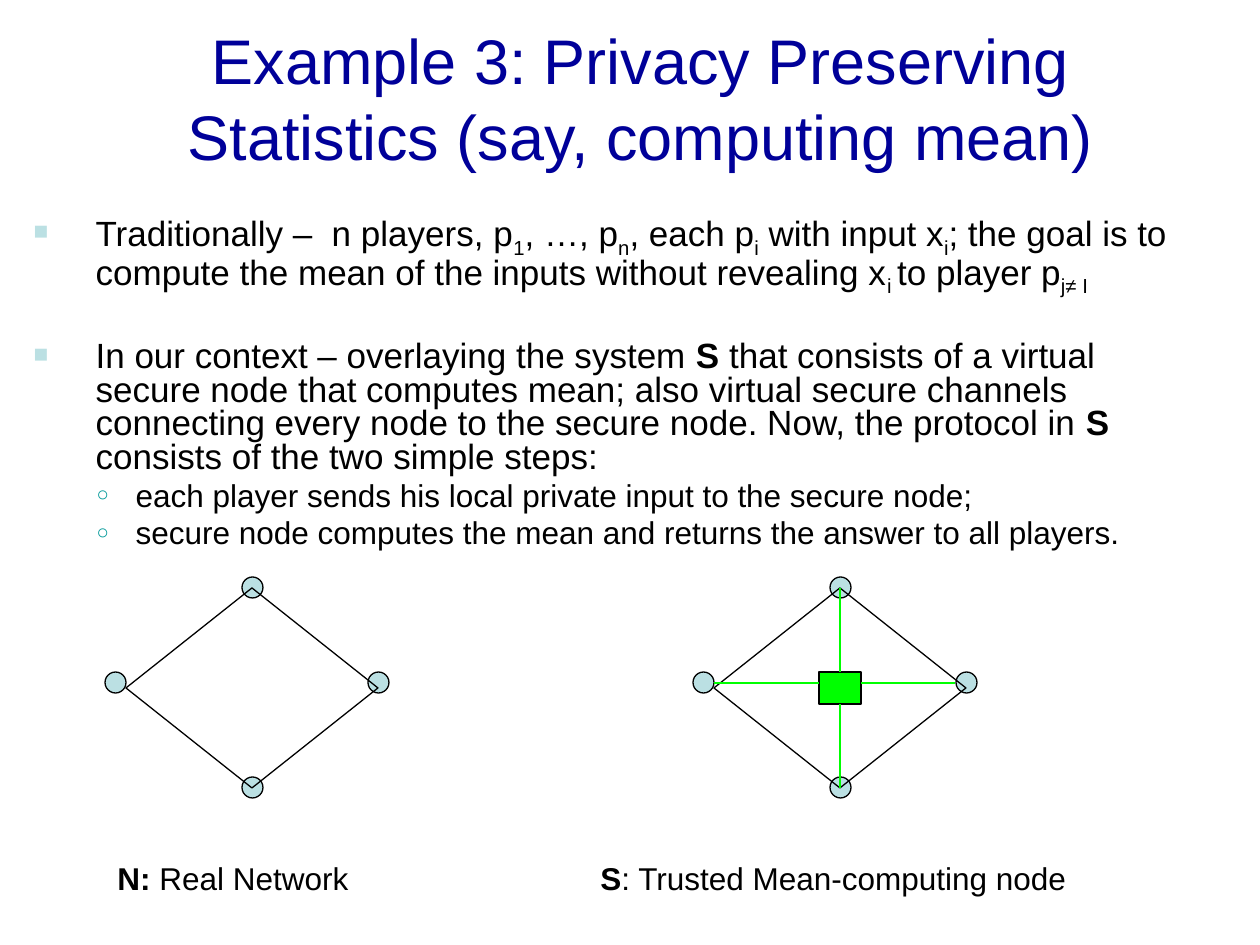
"""Build a slide on privacy preserving statistics with two network diagrams."""
from lxml.etree import SubElement
from pptx import Presentation
from pptx.dml.color import RGBColor
from pptx.enum.shapes import MSO_CONNECTOR, MSO_SHAPE
from pptx.enum.text import MSO_ANCHOR, MSO_AUTO_SIZE, PP_ALIGN
from pptx.oxml.ns import qn
from pptx.util import Pt

SCALE = 914400 / 126
FONT = "Arial"
BLACK, NAVY, PALE, TEAL, GREEN = "000000", "000099", "BBE0E3", "009999", "00FF00"

TITLE = "Example 3: Privacy Preserving Statistics (say, computing mean)"
TITLE_BOX = (126, 21, 1029, 158)
BODY_BOX = (21, 210, 1176, 325)
LEVELS = [
    {"size": 20, "margin": 62, "hang": 62, "mark": "■", "tint": PALE, "percent": 70},
    {"size": 18, "margin": 102, "hang": 39, "mark": "○", "tint": TEAL, "percent": 65},
]
BULLETS = [
    (0, 4.6, [("Traditionally –  n players, p", ""), ("1", "sub"), (", …, p", ""),
              ("n", "sub"), (", each p", ""), ("i", "sub"), (" with input x", ""),
              ("i", "sub"),
              ("; the goal is to compute the mean of the inputs without revealing x", ""),
              ("i ", "sub"), ("to player p", ""), ("j≠ I", "sub")]),
    (0, 28, [("In our context – overlaying the system ", ""), ("S ", "bold"),
             ("that consists of a virtual secure node that computes mean; also virtual "
              "secure channels connecting every node to the secure node. Now, the "
              "protocol in ", ""), ("S ", "bold"),
             ("consists of the two simple steps:", "")]),
    (1, 4.1, [("each player sends his local private input to the secure node;", "")]),
    (1, 4.1, [("secure node computes the mean and returns the answer to all players.", "")]),
]
CAPTIONS = [
    ((105, 853, 256, 50), [("N: ", "bold"), ("Real Network", "")]),
    ((588, 853, 493, 50), [("S", "bold"), (": Trusted Mean-computing node", "")]),
]
REAL_LEFT, TRUSTED_LEFT = 105, 693
NODE = 21
NODE_OFFSETS = [(0, 672), (137, 577), (137, 777), (263, 672)]
RING = (21, 588, 252, 200)
SECURE_NODE = (819, 672, 42, 32)
CHANNELS = [(714, 683, 819, 683), (861, 683, 955, 683),
            (840, 588, 840, 672), (840, 788, 840, 704)]


def px(*lengths):
    return [round(length * SCALE) for length in lengths]


def color(code):
    return RGBColor.from_string(code)


def move(placeholder, box):
    placeholder.left, placeholder.top, placeholder.width, placeholder.height = px(*box)


def write(paragraph, pieces, size, tint=BLACK):
    for text, style in pieces:
        run = paragraph.add_run()
        run.text = text
        for name, value in {"name": FONT, "size": Pt(size), "bold": style == "bold"}.items():
            setattr(run.font, name, value)
        run.font.color.rgb = color(tint)
        if style == "sub":
            run._r.get_or_add_rPr().set("baseline", "-25000")


def set_bullet(paragraph, level):
    props = paragraph._p.get_or_add_pPr()
    margin, hang = px(level["margin"], level["hang"])
    props.set("marL", str(margin))
    props.set("indent", str(-hang))
    tint = SubElement(props, qn("a:buClr"))
    SubElement(tint, qn("a:srgbClr"), val=level["tint"])
    SubElement(props, qn("a:buSzPct"), val=str(level["percent"] * 1000))
    SubElement(props, qn("a:buFont"), typeface=FONT)
    SubElement(props, qn("a:buChar"), char=level["mark"])


def draw(shapes, kind, box, fill=None):
    figure = shapes.add_shape(kind, *px(*box))
    figure.shadow.inherit = False
    if fill:
        figure.fill.solid()
        figure.fill.fore_color.rgb = color(fill)
    else:
        figure.fill.background()
    figure.line.color.rgb = color(BLACK)
    figure.line.width = Pt(0.75)


def draw_network(shapes, left):
    for x, y in NODE_OFFSETS:
        draw(shapes, MSO_SHAPE.OVAL, (left + x, y, NODE, NODE), PALE)
    draw(shapes, MSO_SHAPE.DIAMOND, (left + RING[0], *RING[1:]))


deck = Presentation()
deck.slide_width, deck.slide_height = px(1260, 945)
slide = deck.slides.add_slide(deck.slide_layouts[1])
heading, body = slide.placeholders

move(heading, TITLE_BOX)
heading.text_frame.vertical_anchor = MSO_ANCHOR.BOTTOM
heading.text_frame.auto_size = MSO_AUTO_SIZE.NONE
heading.text_frame.paragraphs[0].alignment = PP_ALIGN.CENTER
write(heading.text_frame.paragraphs[0], [(TITLE, "")], 36, NAVY)

move(body, BODY_BOX)
body.text_frame.auto_size = MSO_AUTO_SIZE.NONE
for index, (depth, gap, pieces) in enumerate(BULLETS):
    item = body.text_frame.add_paragraph() if index else body.text_frame.paragraphs[0]
    for name, value in {"level": depth, "line_spacing": 0.8, "space_before": Pt(gap)}.items():
        setattr(item, name, value)
    set_bullet(item, LEVELS[depth])
    write(item, pieces, LEVELS[depth]["size"])

for box, pieces in CAPTIONS:
    caption = slide.shapes.add_textbox(*px(*box)).text_frame
    caption.word_wrap = False
    caption.auto_size = MSO_AUTO_SIZE.SHAPE_TO_FIT_TEXT
    write(caption.paragraphs[0], pieces, 18)

draw_network(slide.shapes.add_group_shape().shapes, REAL_LEFT)
draw_network(slide.shapes, TRUSTED_LEFT)
draw(slide.shapes, MSO_SHAPE.RECTANGLE, SECURE_NODE, GREEN)
for ends in CHANNELS:
    channel = slide.shapes.add_connector(MSO_CONNECTOR.STRAIGHT, *px(*ends))
    channel.line.color.rgb = color(GREEN)
    channel.line.width = Pt(0.75)
    SubElement(channel._element.spPr, qn("a:effectLst"))

deck.save("out.pptx")
